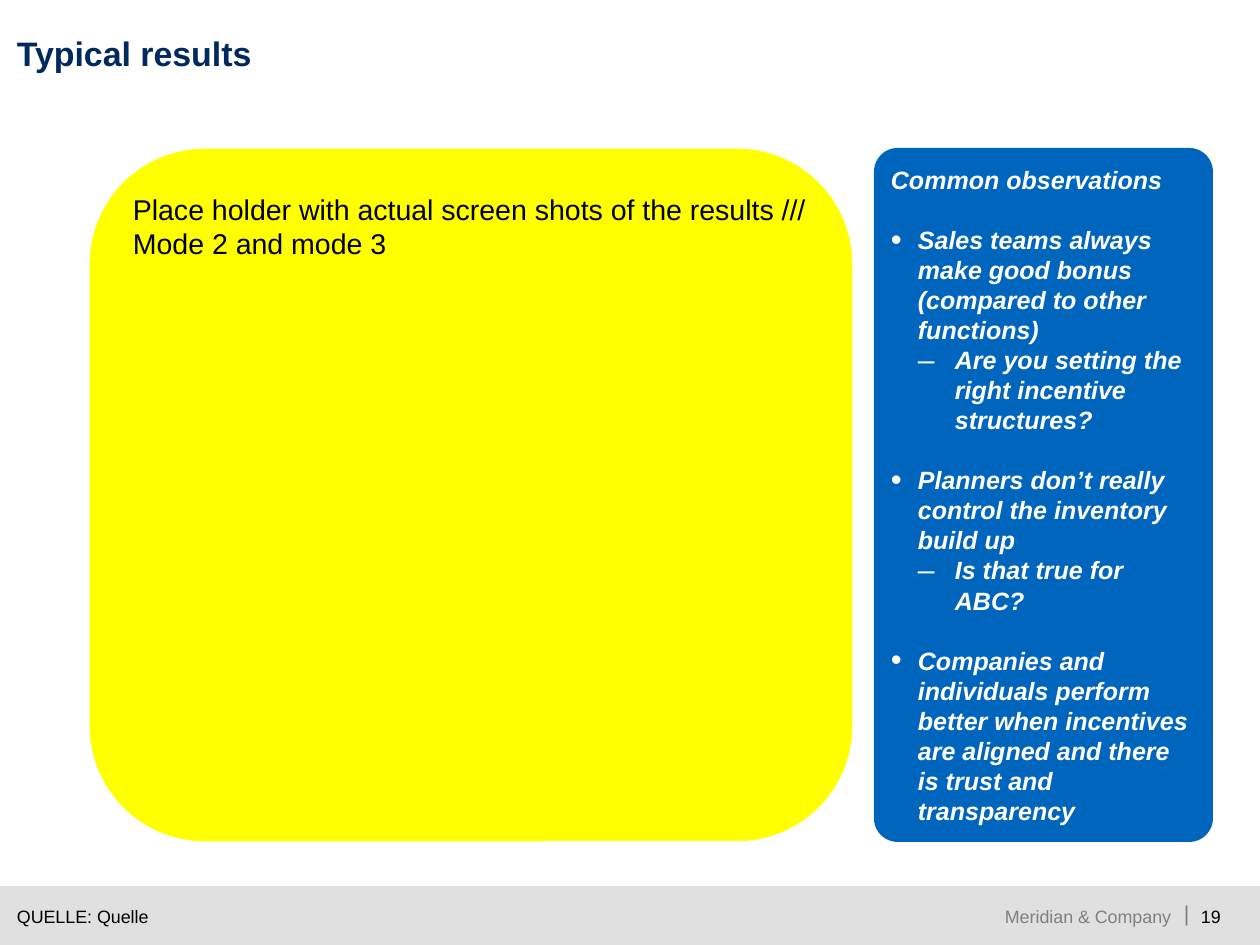
from lxml import etree
from pptx import Presentation
from pptx.dml.color import RGBColor
from pptx.enum.shapes import MSO_SHAPE
from pptx.enum.text import MSO_ANCHOR, PP_ALIGN
from pptx.oxml.ns import qn
from pptx.util import Emu, Pt

PX = 7112  # EMU per px
RECTANGLE, ROUNDED = MSO_SHAPE.RECTANGLE, MSO_SHAPE.ROUNDED_RECTANGLE
TOP, MIDDLE = MSO_ANCHOR.TOP, MSO_ANCHOR.MIDDLE
LEFT, RIGHT = PP_ALIGN.LEFT, PP_ALIGN.RIGHT
COLORS = {
    "navy": "002960",
    "blue": "0065BD",
    "yellow": "FFFF00",
    "white": "FFFFFF",
    "black": "000000",
    "gray": "808080",
    "footer": "E0E0E0",
}


def style(paragraph, size, color, bold=False, italic=False, align=LEFT):
    paragraph.alignment = align
    font = paragraph.font
    font.name, font.size = "Arial", Pt(size)
    font.bold, font.italic = bold, italic
    font.color.rgb = RGBColor.from_string(COLORS[color])


def add_panel(kind, box, fill, anchor=TOP):
    """Add a filled, borderless shape with equal text margins."""
    panel = slide.shapes.add_shape(kind, *[Emu(n * PX) for n in box])
    panel.shadow.inherit = False
    panel.fill.solid()
    panel.fill.fore_color.rgb = RGBColor.from_string(COLORS[fill])
    panel.line.fill.background()
    frame = panel.text_frame
    frame.word_wrap = True
    frame.vertical_anchor = anchor
    frame.margin_left = frame.margin_right = Emu(10 * PX)
    frame.margin_top = frame.margin_bottom = Emu(10 * PX)
    return panel


prs = Presentation()
prs.slide_width, prs.slide_height = Emu(1260 * PX), Emu(945 * PX)
slide = prs.slides.add_slide(prs.slide_layouts[6])

add_panel(RECTANGLE, (0, 886, 1260, 59), "footer")

# Title and footer: text, box, size, color, bold, alignment
labels = [
    ("Typical results", (17, 32, 1212, 41), 19, "navy", True, LEFT),
    ("QUELLE: Quelle", (17, 905, 966, 22), 10, "black", False, LEFT),
    ("Meridian & Company", (996, 905, 175, 22), 10, "gray", False, RIGHT),
    ("|", (1184, 900, 5, 26), 12, "gray", False, RIGHT),
    ("19", (1201, 905, 30, 22), 10, "black", False, LEFT),
]
for text, box, size, color, bold, align in labels:
    label = slide.shapes.add_textbox(*[Emu(n * PX) for n in box])
    frame = label.text_frame
    frame.margin_left = frame.margin_right = 0
    frame.margin_top = frame.margin_bottom = 0
    frame.vertical_anchor = MIDDLE
    frame.word_wrap = False
    frame.text = text
    style(frame.paragraphs[0], size, color, bold, align=align)

results = add_panel(ROUNDED, (89, 148, 764, 694), "yellow")
results.line.color.rgb = RGBColor.from_string(COLORS["white"])
results.line.width = Pt(0.75)
results.text_frame.text = "Place holder with actual screen shots of the results /// Mode 2 and mode 3"
style(results.text_frame.paragraphs[0], 16, "black")

observations = add_panel(ROUNDED, (874, 148, 339, 694), "blue", MIDDLE)
observations.adjustments[0] = 0.07
heading = observations.text_frame.paragraphs[0]
heading.text = "Common observations"
style(heading, 14, "white", True, True)

# Level: bullet, bullet size in percent, left margin, hanging indent, space before
LEVELS = {
    1: ("•", 125, 27, 27, 30),
    2: ("‒", 120, 64, 37, 0),
}
points = [
    (1, "Sales teams always make good bonus (compared to other functions)"),
    (2, "Are you setting the right incentive structures?"),
    (1, "Planners don’t really control the inventory build up"),
    (2, "Is that true for ABC?"),
    (1, "Companies and individuals perform better when incentives are aligned "
        "and there is trust and transparency"),
]
for level, text in points:
    bullet, percent, margin, hanging, gap = LEVELS[level]
    point = observations.text_frame.add_paragraph()
    point.text = text
    point.level = level - 1
    point.space_before = Emu(gap * PX)
    props = point._p.get_or_add_pPr()
    props.set("marL", str(margin * PX))
    props.set("indent", str(-hanging * PX))
    bullet_color = etree.SubElement(props, qn("a:buClr"))
    etree.SubElement(bullet_color, qn("a:srgbClr"), val=COLORS["white"])
    etree.SubElement(props, qn("a:buSzPct"), val=str(percent * 1000))
    etree.SubElement(props, qn("a:buFont"), typeface="Arial")
    etree.SubElement(props, qn("a:buChar"), char=bullet)
    style(point, 14, "white", True, True)

prs.save("out.pptx")
